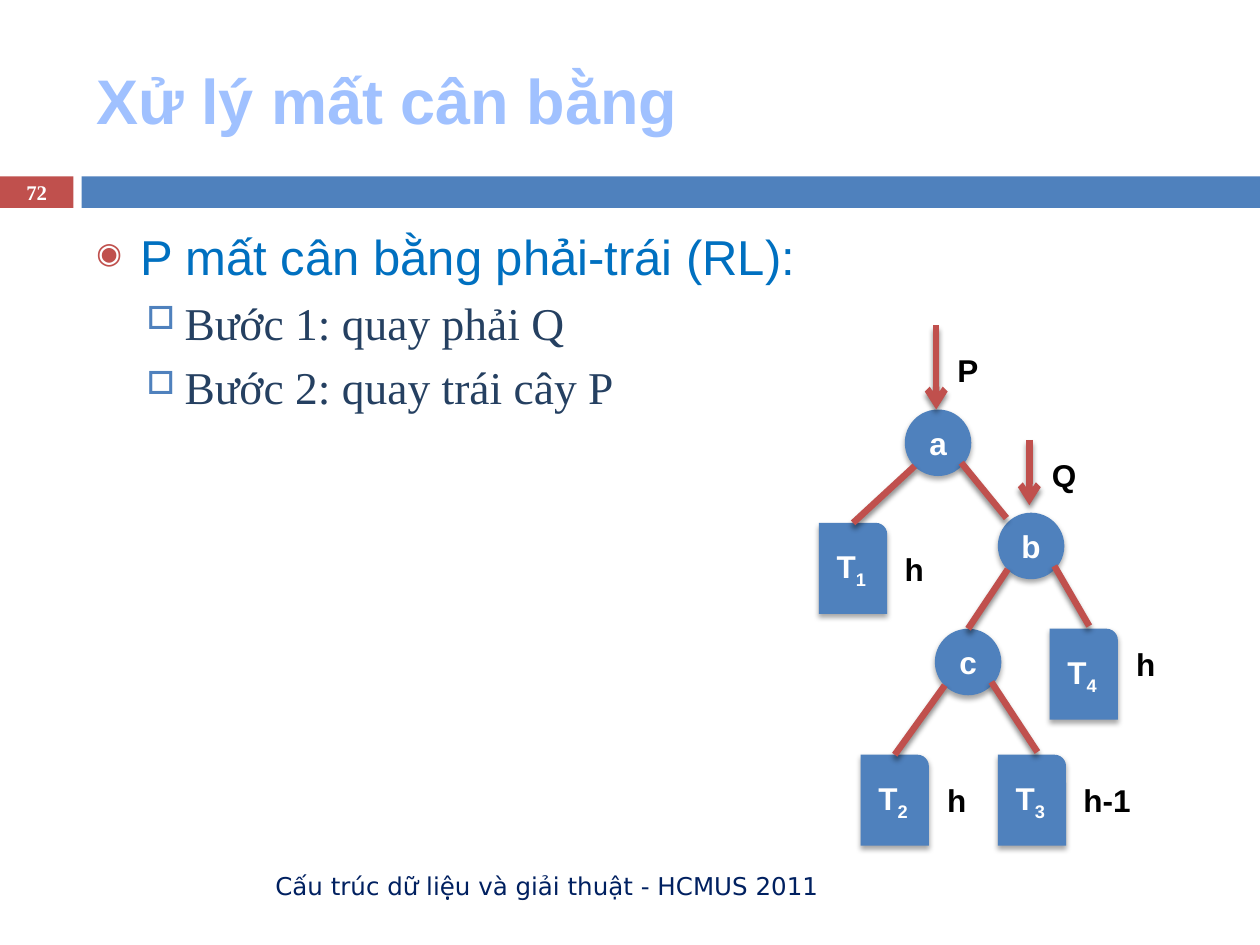
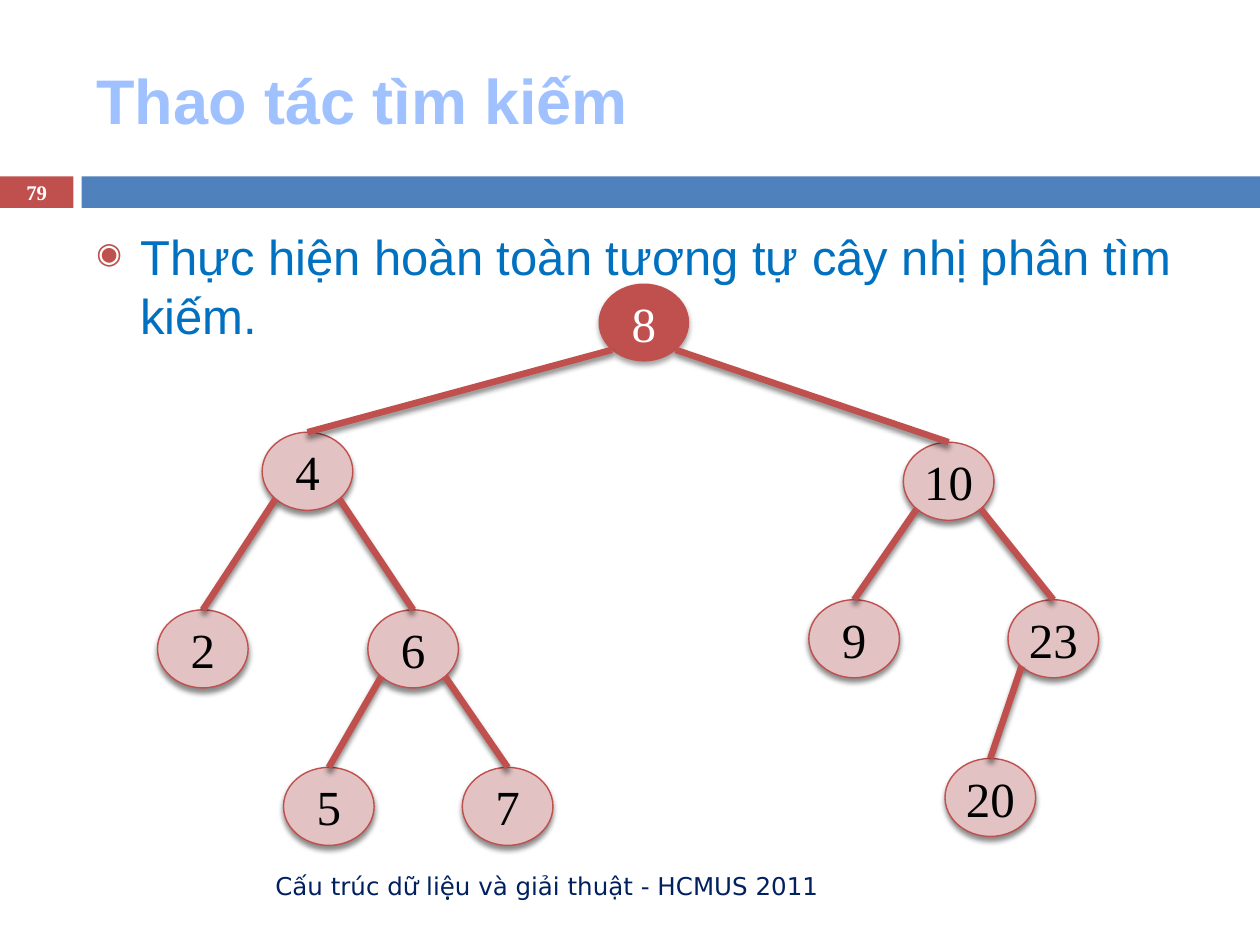
from dataclasses import dataclass

from lxml.etree import SubElement
from pptx import Presentation
from pptx.dml.color import RGBColor
from pptx.enum.shapes import MSO_CONNECTOR, MSO_SHAPE
from pptx.enum.text import MSO_ANCHOR, PP_ALIGN
from pptx.oxml.ns import qn
from pptx.util import Pt

RED = RGBColor(0xC0, 0x50, 0x4D)
BLUE = RGBColor(0x4F, 0x81, 0xBD)
PINK = RGBColor(0xE2, 0xC2, 0xC2)
TITLE_BLUE = RGBColor(0xA0, 0xC1, 0xFF)
BODY_BLUE = RGBColor(0x00, 0x70, 0xC0)
STEP_BLUE = RGBColor(0x25, 0x40, 0x61)
FOOTER_BLUE = RGBColor(0x00, 0x20, 0x60)
WHITE = RGBColor(0xFF, 0xFF, 0xFF)
BLACK = RGBColor(0x00, 0x00, 0x00)

SANS = "Arial"
SERIF = "Times New Roman"
FOOTER_FONT = "DejaVu Sans"
FOOTER = "Cấu trúc dữ liệu và giải thuật - HCMUS 2011"

LOWER_LEFT = (0.15, 0.85)
LOWER_RIGHT = (0.85, 0.85)
INNER_RIGHT = (0.85, 0.8)
TOP = (0.5, 0)
TOP_RIGHT = (0.58, -0.03)
UPPER_LEFT = (0.13, 0.08)


@dataclass
class Box:
    left: float
    top: float
    width: float
    height: float

    def inside(self, left, top, width, height):
        return Box(self.left + left, self.top + top, width, height)

    def point(self, anchor):
        return (self.left + self.width * anchor[0],
                self.top + self.height * anchor[1])

    def lengths(self):
        return [Pt(value) for value in
                (self.left, self.top, self.width, self.height)]


@dataclass
class Style:
    font: str
    size: float
    color: RGBColor
    bold: bool = False


TITLE_STYLE = Style(SANS, 36, TITLE_BLUE, True)
NUMBER_STYLE = Style(SERIF, 11.9, WHITE, True)
FOOTER_STYLE = Style(FOOTER_FONT, 14, FOOTER_BLUE)
BLOCK_STYLE = Style(SANS, 18, WHITE, True)
LABEL_STYLE = Style(SANS, 18, BLACK, True)
KEY_STYLE = Style(SERIF, 28, BLACK)
ROOT_STYLE = Style(SERIF, 28, WHITE)
BODY_LEVELS = [
    (Style(SANS, 28, BODY_BLUE), "◉", RED, 60, 25.2, -25.2, 7),
    (Style(SERIF, 26, STEP_BLUE), "□", BLUE, 70, 50.4, -21.6, 5.5),
]

SLIDE = Box(0, 0, 720, 540)
BODY = Box(48, 126, 642, 354)
ROTATION_TREE = Box(468, 186, 208, 298)
SEARCH_TREE = Box(90, 162, 538, 321)


def add_run(paragraph, text, style, baseline=0):
    run = paragraph.add_run()
    run.text = text
    run.font.name = style.font
    run.font.size = Pt(style.size)
    run.font.bold = style.bold
    run.font.color.rgb = style.color
    if baseline:
        run._r.get_or_add_rPr().set("baseline", str(baseline * 1000))


def add_text(slide, box, text, style, alignment=PP_ALIGN.LEFT,
             anchor=MSO_ANCHOR.MIDDLE, wrap=True):
    frame = slide.shapes.add_textbox(*box.lengths()).text_frame
    frame.word_wrap = wrap
    frame.vertical_anchor = anchor
    paragraph = frame.paragraphs[0]
    paragraph.alignment = alignment
    add_run(paragraph, text, style)


def add_shadow(shape, opacity, distance):
    properties = shape._element.spPr
    effects = properties.find(qn("a:effectLst"))
    if effects is None:
        effects = SubElement(properties, qn("a:effectLst"))
    shadow = SubElement(effects, qn("a:outerShdw"), blurRad=str(Pt(3)),
                        dist=str(Pt(distance)), dir="5400000", rotWithShape="0")
    color = SubElement(shadow, qn("a:srgbClr"), val=str(BLACK))
    SubElement(color, qn("a:alpha"), val=str(opacity * 1000))


def add_filled(slide, kind, box, fill, outline=None):
    shape = slide.shapes.add_shape(kind, *box.lengths())
    shape.shadow.inherit = False
    shape.fill.solid()
    shape.fill.fore_color.rgb = fill
    if outline is None:
        shape.line.fill.background()
    else:
        shape.line.color.rgb = outline
        shape.line.width = Pt(0.79)
    return shape


def add_node(slide, kind, box, text, style, fill, outline=None, subscript=""):
    shape = add_filled(slide, kind, box, fill, outline)
    if outline is None:
        add_shadow(shape, 35, 2)
    else:
        add_shadow(shape, 45, 2.4)
    frame = shape.text_frame
    frame.margin_left = frame.margin_right = 0
    frame.margin_top = frame.margin_bottom = 0
    frame.vertical_anchor = MSO_ANCHOR.MIDDLE
    paragraph = frame.paragraphs[0]
    paragraph.alignment = PP_ALIGN.CENTER
    add_run(paragraph, text, style)
    if subscript:
        add_run(paragraph, subscript, style, -25)


def add_edge(slide, start, end, arrow=False):
    connector = slide.shapes.add_connector(
        MSO_CONNECTOR.STRAIGHT, *[Pt(value) for value in (*start, *end)])
    connector.line.color.rgb = RED
    connector.line.width = Pt(3.75)
    if arrow:
        SubElement(connector.line._get_or_add_ln(), qn("a:tailEnd"), type="arrow")
    add_shadow(connector, 45, 2.4)


def add_frame(slide, box, title, number):
    add_filled(slide, MSO_SHAPE.RECTANGLE, box.inside(0, 100.8, 42, 18), RED)
    add_filled(slide, MSO_SHAPE.RECTANGLE,
               box.inside(46.6, 100.8, box.width - 46.6, 18), BLUE)
    add_text(slide, box.inside(48, 18, 642, 78), title, TITLE_STYLE)
    add_text(slide, box.inside(48, 492, 427, 28.8), FOOTER, FOOTER_STYLE,
             PP_ALIGN.RIGHT)
    add_text(slide, box.inside(0, 100, 42, 19.5), str(number), NUMBER_STYLE,
             PP_ALIGN.CENTER)


def add_body(slide, box, items):
    frame = slide.shapes.add_textbox(*box.lengths()).text_frame
    frame.word_wrap = True
    for index, (level, text) in enumerate(items):
        style, bullet, color, size, margin, indent, space = BODY_LEVELS[level]
        paragraph = frame.add_paragraph() if index else frame.paragraphs[0]
        paragraph.level = level
        properties = paragraph._p.get_or_add_pPr()
        properties.set("marL", str(Pt(margin)))
        properties.set("indent", str(Pt(indent)))
        bullet_color = SubElement(properties, qn("a:buClr"))
        SubElement(bullet_color, qn("a:srgbClr"), val=str(color))
        SubElement(properties, qn("a:buSzPct"), val=str(size * 1000))
        SubElement(properties, qn("a:buChar"), char=bullet)
        if index:
            paragraph.space_before = Pt(space)
        add_run(paragraph, text, style)


def add_rotation_tree(slide, box):
    circles = {"a": (49, 48), "b": (102.2, 107), "c": (66.2, 173.3)}
    blocks = {"T1": (0, 112.8), "T2": (23.8, 245.3),
              "T3": (102.2, 245.3), "T4": (131.8, 173.3)}
    edges = [
        ("a", LOWER_LEFT, "T1", TOP), ("a", INNER_RIGHT, "b", UPPER_LEFT),
        ("b", LOWER_LEFT, "c", TOP), ("b", INNER_RIGHT, "T4", TOP_RIGHT),
        ("c", LOWER_LEFT, "T2", TOP), ("c", INNER_RIGHT, "T3", TOP_RIGHT),
    ]
    labels = [("P", 72, 11.3), ("Q", 126, 71), ("h", 41.8, 125),
              ("h", 174.2, 179), ("h", 66.2, 256.8), ("h-1", 144, 256.8)]
    pointers = [(67, 0, 48), (120.2, 65.3, 102.7)]

    places = {}
    for name, (left, top) in circles.items():
        places[name] = box.inside(left, top, 38, 38)
        add_node(slide, MSO_SHAPE.OVAL, places[name], name, BLOCK_STYLE, BLUE)
    for name, (left, top) in blocks.items():
        places[name] = box.inside(left, top, 39, 52)
        add_node(slide, MSO_SHAPE.ROUND_1_RECTANGLE, places[name], name[0],
                 BLOCK_STYLE, BLUE, subscript=name[1])
    for parent, start, child, end in edges:
        add_edge(slide, places[parent].point(start), places[child].point(end))
    for x, top, bottom in pointers:
        add_edge(slide, (box.left + x, box.top + top),
                 (box.left + x, box.top + bottom), arrow=True)
    for text, left, top in labels:
        add_text(slide, box.inside(left, top, 42, 29), text, LABEL_STYLE,
                 anchor=MSO_ANCHOR.TOP, wrap=False)


def add_search_tree(slide, box):
    root = 8
    keys = {8: (252, 0), 4: (59.8, 85), 10: (426.2, 90.7),
            2: (0, 186.5), 6: (120.2, 186.5), 9: (372.2, 180.7),
            23: (486, 180.7), 5: (72, 276.5), 7: (174.2, 276.5),
            20: (450, 271.4)}
    children = {8: (4, 10), 4: (2, 6), 10: (9, 23), 6: (5, 7), 23: (20,)}

    places = {}
    for key, (left, top) in keys.items():
        places[key] = box.inside(left, top, 51.8, 44.6)
        look = (ROOT_STYLE, RED) if key == root else (KEY_STYLE, PINK, RED)
        add_node(slide, MSO_SHAPE.OVAL, places[key], str(key), *look)
    for parent, branch in children.items():
        for child in branch:
            side = LOWER_LEFT if child < parent else LOWER_RIGHT
            add_edge(slide, places[parent].point(side), places[child].point(TOP))


def add_tree_slide(presentation, title, number, items, add_tree, tree_box):
    slide = presentation.slides.add_slide(presentation.slide_layouts[6])
    add_frame(slide, SLIDE, title, number)
    add_body(slide, BODY, items)
    add_tree(slide, tree_box)


def main():
    presentation = Presentation()
    presentation.slide_width = Pt(SLIDE.width)
    presentation.slide_height = Pt(SLIDE.height)
    add_tree_slide(
        presentation, "Xử lý mất cân bằng", 72,
        [(0, "P mất cân bằng phải-trái (RL):"),
         (1, "Bước 1: quay phải Q"),
         (1, "Bước 2: quay trái cây P")],
        add_rotation_tree, ROTATION_TREE)
    add_tree_slide(
        presentation, "Thao tác tìm kiếm", 79,
        [(0, "Thực hiện hoàn toàn tương tự cây nhị phân tìm kiếm.")],
        add_search_tree, SEARCH_TREE)
    presentation.save("out.pptx")


if __name__ == "__main__":
    main()
